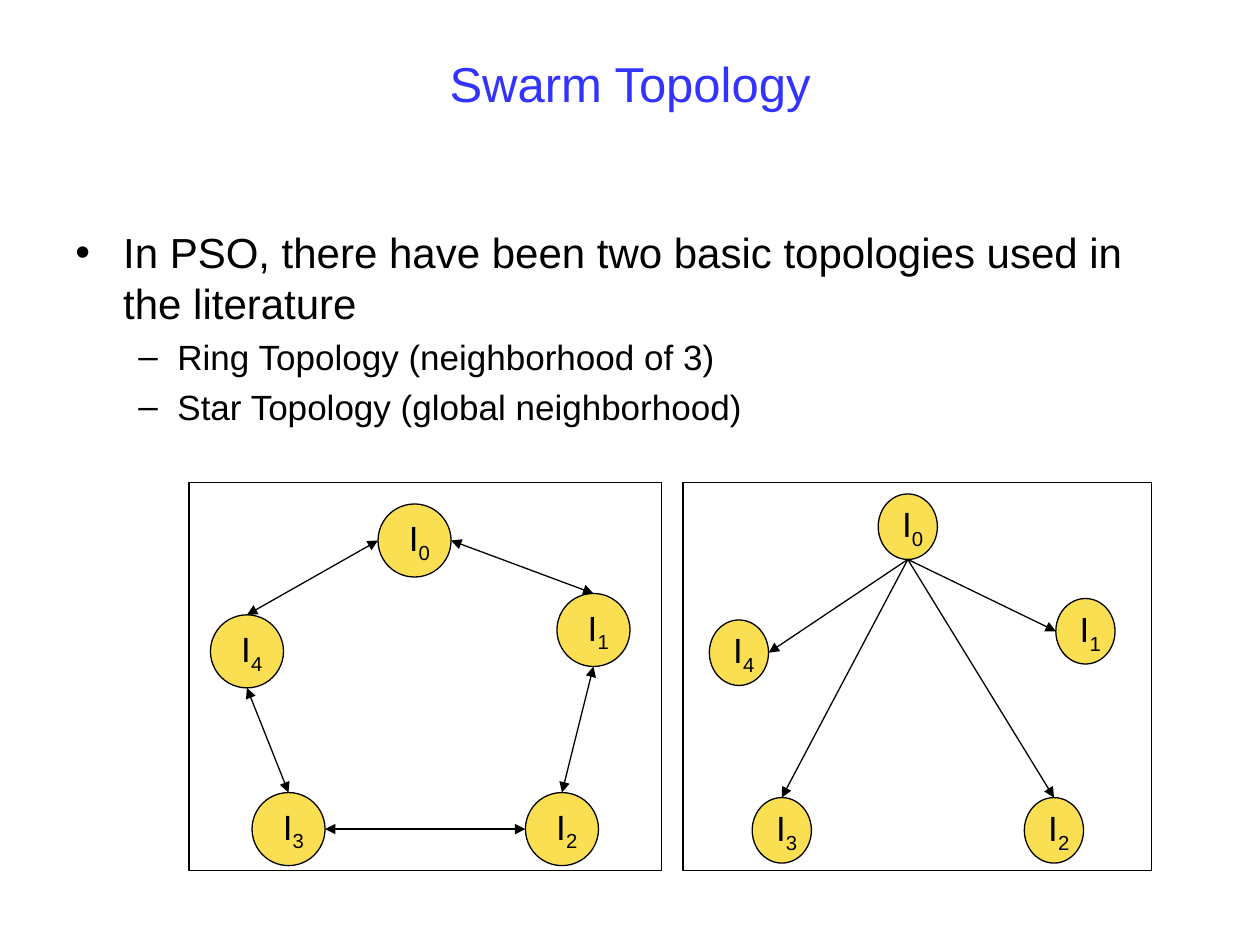
from dataclasses import dataclass

from lxml import etree
from pptx import Presentation
from pptx.dml.color import RGBColor
from pptx.enum.shapes import MSO_CONNECTOR, MSO_SHAPE
from pptx.enum.text import MSO_ANCHOR, PP_ALIGN
from pptx.oxml.ns import qn
from pptx.util import Inches, Pt

OVAL, RECT = MSO_SHAPE.OVAL, MSO_SHAPE.RECTANGLE
LINE = MSO_CONNECTOR.STRAIGHT
MID, TOP = MSO_ANCHOR.MIDDLE, MSO_ANCHOR.TOP
CENTER = PP_ALIGN.CENTER


@dataclass(frozen=True)
class Theme:
    font: str = "Arial"
    blue: RGBColor = RGBColor(0x33, 0x33, 0xFF)
    black: RGBColor = RGBColor(0, 0, 0)
    gold: RGBColor = RGBColor(0xFB, 0xDF, 0x53)
    title: int = 28
    body: int = 24
    small: int = 20
    line: float = 0.75


@dataclass(frozen=True)
class Bullet:
    text: str
    mark: str
    size: int
    left: float
    hang: float
    gap: float


@dataclass(frozen=True)
class Link:
    start: int
    side: str
    end: int
    stop: str


@dataclass(frozen=True)
class Graph:
    frame: tuple[float, float, float, float]
    wide: float
    high: float
    nodes: tuple[tuple[float, float], ...]
    links: tuple[Link, ...]
    both: bool


THEME = Theme()
SIDES = {"top": (0.5, 0), "left": (0, 0.5), "base": (0.5, 1), "right": (1, 0.5)}

BULLETS = (
    Bullet("In PSO, there have been two basic topologies used in the literature",
           "•", THEME.body, 0.38, 0.38, 0),
    Bullet("Ring Topology (neighborhood of 3)", "–", THEME.small, 0.81, 0.31, 4.6),
    Bullet("Star Topology (global neighborhood)", "–", THEME.small, 0.81, 0.31, 4.6),
)

STAR = Graph(
    (5.42, 3.83, 3.72, 3.08), 0.47, 0.52,
    ((6.97, 3.92), (8.38, 4.75), (8.13, 6.33), (5.97, 6.33), (5.63, 4.92)),
    (Link(0, "base", 4, "right"), Link(0, "base", 3, "top"),
     Link(0, "base", 1, "left"), Link(0, "base", 2, "top")),
    False,
)
RING = Graph(
    (1.5, 3.83, 3.75, 3.08), 0.58, 0.58,
    ((3, 4), (4.42, 4.71), (4.17, 6.29), (2, 6.29), (1.67, 4.88)),
    (Link(0, "left", 4, "top"), Link(3, "right", 2, "left"),
     Link(2, "top", 1, "base"), Link(1, "top", 0, "right"),
     Link(4, "base", 3, "top")),
    True,
)


def add_run(para, text: str, size: int, color: RGBColor):
    run = para.add_run()
    run.text = text
    run.font.name = THEME.font
    run.font.size = Pt(size)
    run.font.color.rgb = color
    return run


def add_title(slide) -> None:
    title = slide.shapes.title
    title.left, title.top = Inches(0.5), Inches(0.22)
    title.width, title.height = Inches(9), Inches(0.87)
    title.text_frame.vertical_anchor = MID
    para = title.text_frame.paragraphs[0]
    para.alignment = CENTER
    add_run(para, "Swarm Topology", THEME.title, THEME.blue)


def add_list(slide) -> None:
    box = slide.shapes.add_textbox(Inches(0.5), Inches(1.75), Inches(9), Inches(1.85))
    frame = box.text_frame
    frame.word_wrap = True
    frame.vertical_anchor = TOP
    for i, item in enumerate(BULLETS):
        para = frame.add_paragraph() if i else frame.paragraphs[0]
        props = para._p.get_or_add_pPr()
        props.set("marL", str(Inches(item.left)))
        props.set("indent", str(-Inches(item.hang)))
        font = etree.SubElement(props, qn("a:buFont"))
        font.set("typeface", THEME.font)
        etree.SubElement(props, qn("a:buChar")).set("char", item.mark)
        para.level = 1 if i else 0
        para.space_before = Pt(item.gap)
        add_run(para, item.text, item.size, THEME.black)


def add_node(slide, graph: Graph, index: int) -> None:
    left, top = graph.nodes[index]
    node = slide.shapes.add_shape(
        OVAL, Inches(left), Inches(top), Inches(graph.wide), Inches(graph.high))
    node.shadow.inherit = False
    node.fill.solid()
    node.fill.fore_color.rgb = THEME.gold
    node.line.color.rgb = THEME.black
    node.line.width = Pt(THEME.line)
    frame = node.text_frame
    frame.word_wrap = False
    frame.vertical_anchor = MID
    para = frame.paragraphs[0]
    para.alignment = CENTER
    add_run(para, " I", THEME.small, THEME.black)
    sub = add_run(para, str(index), THEME.small, THEME.black)
    sub.font._element.set("baseline", "-25000")


def find_port(graph: Graph, index: int, side: str) -> tuple[int, int]:
    left, top = graph.nodes[index]
    across, down = SIDES[side]
    return Inches(left + across * graph.wide), Inches(top + down * graph.high)


def add_link(slide, graph: Graph, link: Link) -> None:
    start = find_port(graph, link.start, link.side)
    end = find_port(graph, link.end, link.stop)
    arrow = slide.shapes.add_connector(LINE, *start, *end)
    arrow.line.color.rgb = THEME.black
    arrow.line.width = Pt(THEME.line)
    stroke = arrow.line._get_or_add_ln()
    for tag in ("a:headEnd", "a:tailEnd") if graph.both else ("a:tailEnd",):
        etree.SubElement(stroke, qn(tag)).set("type", "triangle")
    etree.SubElement(arrow._element.spPr, qn("a:effectLst"))


def add_graph(slide, graph: Graph) -> None:
    for index in range(len(graph.nodes)):
        add_node(slide, graph, index)
    for link in graph.links:
        add_link(slide, graph, link)
    frame = slide.shapes.add_shape(RECT, *map(Inches, graph.frame))
    frame.shadow.inherit = False
    frame.fill.background()
    frame.line.color.rgb = THEME.black
    frame.line.width = Pt(THEME.line)


def main() -> None:
    deck = Presentation()
    deck.slide_width, deck.slide_height = Inches(10), Inches(7.5)
    slide = deck.slides.add_slide(deck.slide_layouts[5])
    add_title(slide)
    add_list(slide)
    add_graph(slide, STAR)
    add_graph(slide, RING)
    deck.save("out.pptx")


if __name__ == "__main__":
    main()
